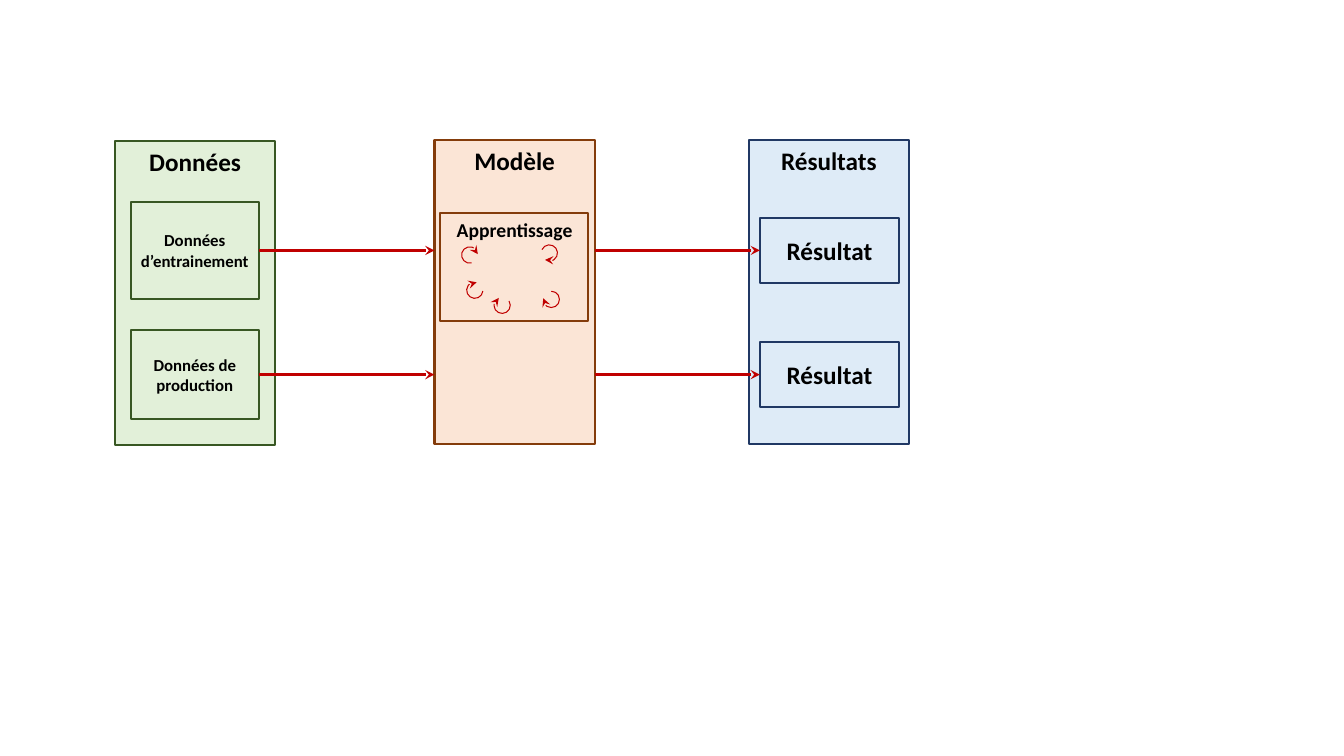
from lxml.etree import SubElement
from pptx import Presentation
from pptx.dml.color import RGBColor
from pptx.enum.shapes import MSO_CONNECTOR as Connector, MSO_SHAPE as Shape
from pptx.enum.text import MSO_ANCHOR as Anchor, PP_ALIGN as Align
from pptx.oxml.ns import qn
from pptx.util import Cm, Pt

BLACK = RGBColor(0x00, 0x00, 0x00)
RED = RGBColor(0xC0, 0x00, 0x00)
GREEN_FILL = RGBColor(0xE2, 0xF0, 0xD9)
GREEN_LINE = RGBColor(0x38, 0x57, 0x23)
ORANGE_FILL = RGBColor(0xFB, 0xE5, 0xD6)
ORANGE_LINE = RGBColor(0x84, 0x3C, 0x0B)
BLUE_FILL = RGBColor(0xDE, 0xEB, 0xF7)
BLUE_LINE = RGBColor(0x20, 0x38, 0x64)
GREEN = (GREEN_FILL, GREEN_LINE)
ORANGE = (ORANGE_FILL, ORANGE_LINE)
BLUE = (BLUE_FILL, BLUE_LINE)

DATA_X, MODEL_X, RESULT_X = 2.9, 10.95, 18.87
COLUMN_WIDTH, COLUMN_HEIGHT = 4.04, 7.65
DATA_BOX_X, DATA_BOX_WIDTH = 3.3, 3.22
RESULT_BOX_X, RESULT_BOX_WIDTH, RESULT_BOX_HEIGHT = 19.15, 3.51, 1.65
TRAINING_Y, PRODUCTION_Y = 6.31, 9.44
LOOP_SIZE = 0.41
# left, top, rotation
LOOPS = [
    (13.69, 7.34, 0),
    (13.64, 6.17, 294.3),
    (11.76, 7.11, 95.3),
    (12.45, 7.49, 57.9),
    (11.63, 6.22, 166.3),
]


def write(box, text, size, anchor, inset=None):
    """Put centred bold text in a box; inset replaces the default margins."""
    frame = box.text_frame
    frame.word_wrap = True
    frame.vertical_anchor = anchor
    if inset is not None:
        frame.margin_left = frame.margin_right = Cm(inset)
        frame.margin_top = frame.margin_bottom = Cm(inset)
    frame.text = text
    para = frame.paragraphs[0]
    para.alignment = Align.CENTER
    font = para.runs[0].font
    font.name = "Calibri"
    font.size = Pt(size)
    font.bold = True
    font.color.rgb = BLACK


def add_box(slide, left, top, width, height, colors):
    box = slide.shapes.add_shape(
        Shape.RECTANGLE, Cm(left), Cm(top), Cm(width), Cm(height))
    fill, line = colors
    box.shadow.inherit = False
    box.fill.solid()
    box.fill.fore_color.rgb = fill
    box.line.color.rgb = line
    box.line.width = Pt(1.5)
    return box


def add_column(slide, left, top, title, colors):
    column = add_box(slide, left, top, COLUMN_WIDTH, COLUMN_HEIGHT, colors)
    write(column, title, 18, Anchor.TOP)


def draw_red_arrow(shape, width):
    """Give a line or arc a red stroke ending in a stealth arrowhead."""
    shape.line.color.rgb = RED
    shape.line.width = Pt(width)
    SubElement(shape.line._get_or_add_ln(), qn("a:tailEnd"), type="stealth")


def add_arrow(slide, start_x, end_x, y):
    arrow = slide.shapes.add_connector(
        Connector.STRAIGHT, Cm(start_x), Cm(y), Cm(end_x), Cm(y))
    draw_red_arrow(arrow, 2.25)
    SubElement(arrow._element.spPr, qn("a:effectLst"))


def add_loop(slide, left, top, rotation):
    loop = slide.shapes.add_shape(
        Shape.ARC, Cm(left), Cm(top), Cm(LOOP_SIZE), Cm(LOOP_SIZE))
    loop.adjustments[0] = 162
    loop.adjustments[1] = 112.64
    loop.rotation = rotation
    loop.shadow.inherit = False
    loop.fill.background()
    draw_red_arrow(loop, 0.75)


def main():
    deck = Presentation()
    deck.slide_width, deck.slide_height = Cm(33.87), Cm(19.05)
    slide = deck.slides.add_slide(deck.slide_layouts[6])

    add_column(slide, MODEL_X, 3.53, "Modèle", ORANGE)
    add_column(slide, DATA_X, 3.56, "Données", GREEN)
    add_column(slide, RESULT_X, 3.53, "Résultats", BLUE)

    add_box(slide, 11.1, 5.36, 3.71, 2.74, ORANGE)
    label = slide.shapes.add_textbox(Cm(11.13), Cm(4.95), Cm(3.68), Cm(1.68))
    write(label, "Apprentissage", 14, Anchor.MIDDLE)
    for left, top, rotation in LOOPS:
        add_loop(slide, left, top, rotation)

    rows = [
        (TRAINING_Y, "Données d’entrainement", 2.46),
        (PRODUCTION_Y, "Données de production", 2.26),
    ]
    for y, source, height in rows:
        data_box = add_box(slide, DATA_BOX_X, y - height / 2,
                           DATA_BOX_WIDTH, height, GREEN)
        write(data_box, source, 12, Anchor.MIDDLE, inset=0)
        result_box = add_box(slide, RESULT_BOX_X, y - RESULT_BOX_HEIGHT / 2,
                             RESULT_BOX_WIDTH, RESULT_BOX_HEIGHT, BLUE)
        write(result_box, "Résultat", 18, Anchor.MIDDLE)
        add_arrow(slide, DATA_BOX_X + DATA_BOX_WIDTH, MODEL_X, y)
        add_arrow(slide, MODEL_X + COLUMN_WIDTH, RESULT_BOX_X, y)

    deck.save("out.pptx")


if __name__ == "__main__":
    main()
